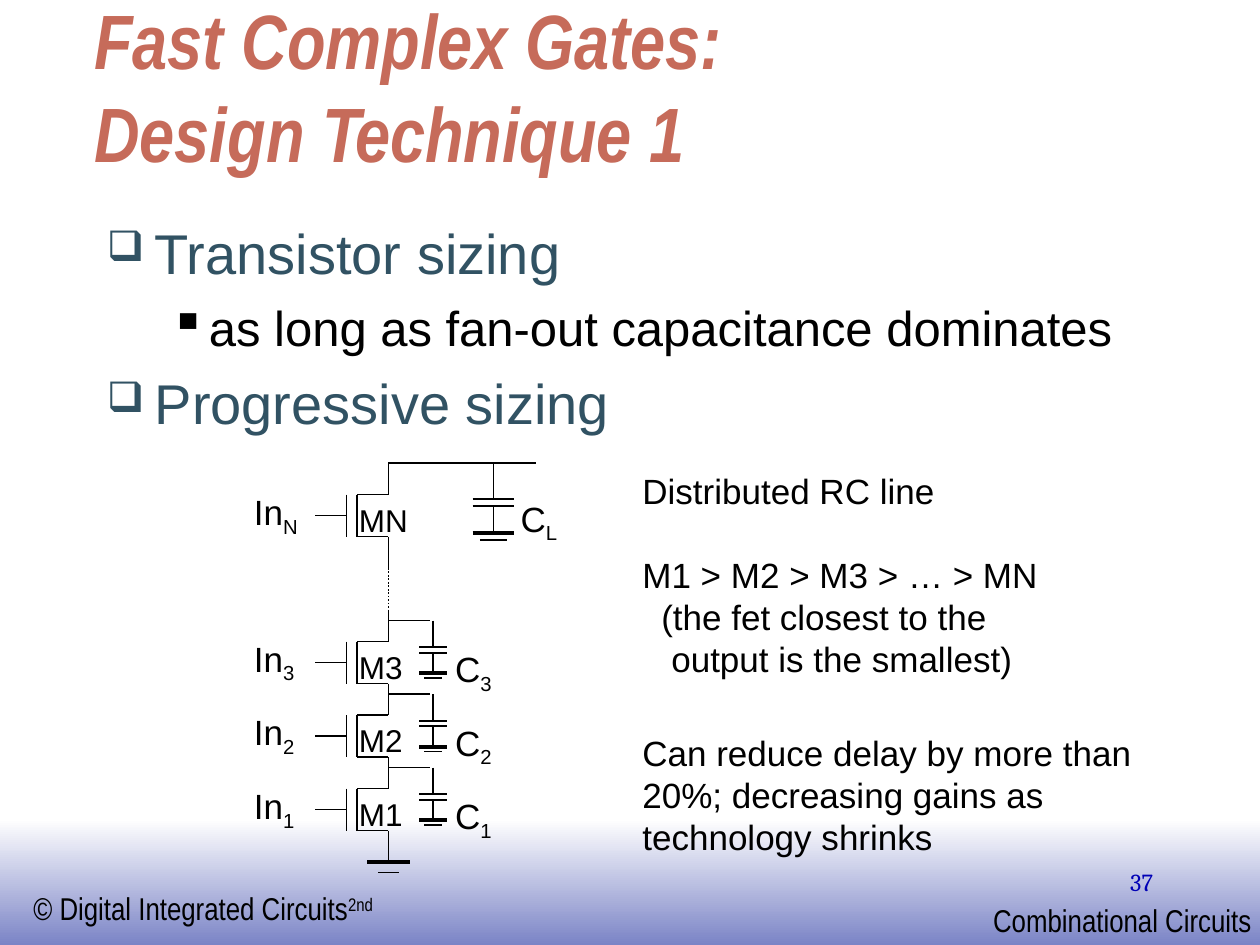
from dataclasses import dataclass

from lxml.etree import SubElement
from pptx import Presentation
from pptx.dml.color import RGBColor
from pptx.enum.dml import MSO_LINE_DASH_STYLE as Dash
from pptx.enum.shapes import MSO_CONNECTOR as Connector, MSO_SHAPE as Shape
from pptx.enum.text import MSO_ANCHOR as Anchor, PP_ALIGN as Align
from pptx.oxml.ns import qn
from pptx.util import Inches, Pt


@dataclass(frozen=True)
class Theme:
    sans: str = "Arial"
    narrow: str = "Arial Narrow"
    serif: str = "Cambria"
    ink: str = "000000"
    heading: str = "C66B5A"
    topic: str = "315263"
    number: str = "0000B6"
    band_top: str = "FFFFFF"
    band_bottom: str = "7B84C6"
    title_size: int = 44
    topic_size: int = 32
    point_size: int = 28
    note_size: int = 20
    device_size: int = 18
    number_size: int = 14
    thin: float = 1
    thick: float = 2.25


THEME = Theme()
COLUMNS, ROWS = 120, 90  # twelve grid cells to the inch
TOP = 44.1  # row of the output wire
STACK = 37  # column of the transistor stack
STAGES = {"N": TOP + 3, "3": TOP + 17, "2": TOP + 24, "1": TOP + 31}


def cells(*counts):
    return [Inches(count / 12) for count in counts]


def set_all(target, values):
    for name, value in values.items():
        setattr(target, name, value)


def add_run(paragraph, text, color=THEME.ink, baseline=None, **font):
    run = paragraph.add_run()
    run.text = text
    set_all(run.font, {"name": THEME.sans, **font, "size": Pt(font["size"])})
    run.font.color.rgb = RGBColor.from_string(color)
    if baseline:
        run.font._element.set("baseline", str(baseline * 1000))


def add_box(slide, area, wrap=True, anchor=Anchor.TOP):
    frame = slide.shapes.add_textbox(*cells(*area)).text_frame
    set_all(frame, {"word_wrap": wrap, "vertical_anchor": anchor})
    return frame


def add_label(slide, area, text, script="", shift=-25, wrap=False, **font):
    """One line of text, optionally ending in a sub- or superscript."""
    paragraph = add_box(slide, area, wrap).paragraphs[0]
    add_run(paragraph, text, **font)
    if script:
        add_run(paragraph, script, baseline=shift, **font)
    return paragraph


def indent(paragraph, left, first=0):
    properties = paragraph._p.get_or_add_pPr()
    properties.set("marL", str(Inches(left)))
    properties.set("indent", str(Inches(first)))
    return properties


def add_bullet(paragraph, mark, color, percent, left, hang):
    properties = indent(paragraph, left, -hang)
    tint = SubElement(properties, qn("a:buClr"))
    SubElement(tint, qn("a:srgbClr"), val=color)
    SubElement(properties, qn("a:buSzPct"), val=str(percent * 1000))
    SubElement(properties, qn("a:buChar"), char=mark)


def add_wire(slide, start, end, width=THEME.thin, dash=None):
    wire = slide.shapes.add_connector(Connector.STRAIGHT, *cells(*start, *end))
    set_all(wire.line, {"width": Pt(width), "dash_style": dash})
    wire.line.color.rgb = RGBColor.from_string(THEME.ink)
    SubElement(wire._element.spPr, qn("a:effectLst"))


def add_bar(slide, center, row, half, width=THEME.thin):
    add_wire(slide, (center - half, row), (center + half, row), width)


def add_ground(slide, center, row, half, base_half, drop):
    add_bar(slide, center, row, half, THEME.thick)
    add_bar(slide, center, row + drop, base_half)


def add_transistor(slide, index, row):
    channel, gate, bottom = STACK - 3, STACK - 4, row + 4
    for start, end in (
        ((channel, row), (STACK, row)),
        ((channel, row), (channel, bottom)),
        ((channel, bottom), (STACK, bottom)),
        ((gate, row), (gate, bottom)),
        ((STACK, bottom), (STACK, bottom + 3)),
        ((gate - 3, row + 2), (gate, row + 2)),
    ):
        add_wire(slide, start, end)
    add_label(slide, (23, row - 1, 8, 5.1), "In", index, size=THEME.note_size)
    add_label(slide, (gate, row, 8, 4.8), "M" + index, size=THEME.device_size)


def add_capacitor(slide, index, center, row, half, scale):
    """Capacitor to ground, hanging from the given row."""
    upper, lower, ground = (row + scale * step for step in (3.4, 4.1, 6.7))
    add_wire(slide, (center, row), (center, upper))
    add_bar(slide, center, upper, half)
    add_bar(slide, center, lower, half)
    add_wire(slide, (center, lower), (center, ground))
    add_ground(slide, center, ground, half, 0.65 * half, 0.6 * scale)
    area = (center + 0.7 * half, row + 2.65 * scale, 6, 5.1)
    add_label(slide, area, "C", index, size=THEME.note_size)


def add_circuit(slide):
    for index, row in STAGES.items():
        add_transistor(slide, index, row)
        if index != "N":
            add_wire(slide, (STACK, row - 2), (STACK + 4, row - 2))
            add_capacitor(slide, index, STACK + 4.25, row - 2, 1.3, 0.75)
    add_wire(slide, (STACK, TOP), (STACK + 14, TOP))
    add_wire(slide, (STACK, TOP), (STACK, STAGES["N"]))
    add_capacitor(slide, "L", STACK + 10, TOP, 2, 1)
    gap_end = STAGES["3"] - 3
    add_wire(slide, (STACK, gap_end), (STACK, STAGES["3"]))
    add_wire(slide, (STACK, gap_end - 5), (STACK, gap_end), dash=Dash.ROUND_DOT)
    add_ground(slide, STACK, STAGES["1"] + 7, 2, 1, 1)


def add_footer(slide):
    band = slide.shapes.add_shape(Shape.RECTANGLE, *cells(0, ROWS - 12, COLUMNS, 12))
    band.shadow.inherit = False
    band.line.fill.background()
    band.fill.gradient()
    band.fill.gradient_angle = 270
    colors = (THEME.band_top, THEME.band_bottom)
    for position, (stop, color) in enumerate(zip(band.fill.gradient_stops, colors)):
        stop.position = position
        stop.color.rgb = RGBColor.from_string(color)
    footer = {"size": THEME.device_size, "name": THEME.narrow}
    add_label(slide, (2, 84.1, 35, 4.8), "© Digital Integrated Circuits", "2nd", 30, **footer)
    add_label(slide, (93.4, 85.2, 27, 4.8), "Combinational Circuits", **footer)
    number = add_label(slide, (86, 82, 25, 6), "37", wrap=True, color=THEME.number,
                       size=THEME.number_size, name=THEME.serif)
    number.alignment = Align.RIGHT


def add_title(slide):
    frame = add_box(slide, (7.8, 8.1, 102, 9.4), anchor=Anchor.BOTTOM)
    font = {"size": THEME.title_size, "name": THEME.narrow, "color": THEME.heading,
            "bold": True, "italic": True}
    paragraph = frame.paragraphs[0]
    add_run(paragraph, "Fast Complex Gates:", **font)
    paragraph.add_line_break()
    add_run(paragraph, "Design Technique 1", **font)


def add_topics(slide):
    frame = add_box(slide, (9, 20.2, 102, 59))
    topic = (THEME.topic_size, THEME.topic, "❑", 75, 0.38, 0.38)
    point = (THEME.point_size, THEME.ink, "▪", 100, 0.81, 0.31)
    for order, (text, style) in enumerate((
        ("Transistor sizing", topic),
        ("as long as fan-out capacitance dominates", point),
        ("Progressive sizing", topic),
    )):
        size, color, mark, percent, left, hang = style
        paragraph = frame.add_paragraph() if order else frame.paragraphs[0]
        paragraph.space_before = Pt(7 if order else 0)
        add_bullet(paragraph, mark, color, percent, left, hang)
        add_run(paragraph, text, color, size=size)


def add_notes(slide):
    frame = add_box(slide, (60, TOP, 43, 21.2))
    for order, (text, left, space) in enumerate((
        ("Distributed RC line", 0, 0),
        ("M1 > M2 > M3 > … > MN", 0, 24),
        ("(the fet closest to the", 0.15, 0),
        ("output is the smallest)", 0.23, 0),
    )):
        paragraph = frame.add_paragraph() if order else frame.paragraphs[0]
        paragraph.space_before = Pt(space)
        indent(paragraph, left)
        add_run(paragraph, text, size=THEME.note_size)
    gain = "Can reduce delay by more than 20%; decreasing gains as technology shrinks"
    add_label(slide, (60, TOP + 25, 49, 13.2), gain, wrap=True, size=THEME.note_size)


def main():
    deck = Presentation()
    set_all(deck, dict(zip(("slide_width", "slide_height"), cells(COLUMNS, ROWS))))
    slide = deck.slides.add_slide(deck.slide_layouts[6])
    for add_part in (add_footer, add_title, add_topics, add_circuit, add_notes):
        add_part(slide)
    deck.save("out.pptx")


if __name__ == "__main__":
    main()
